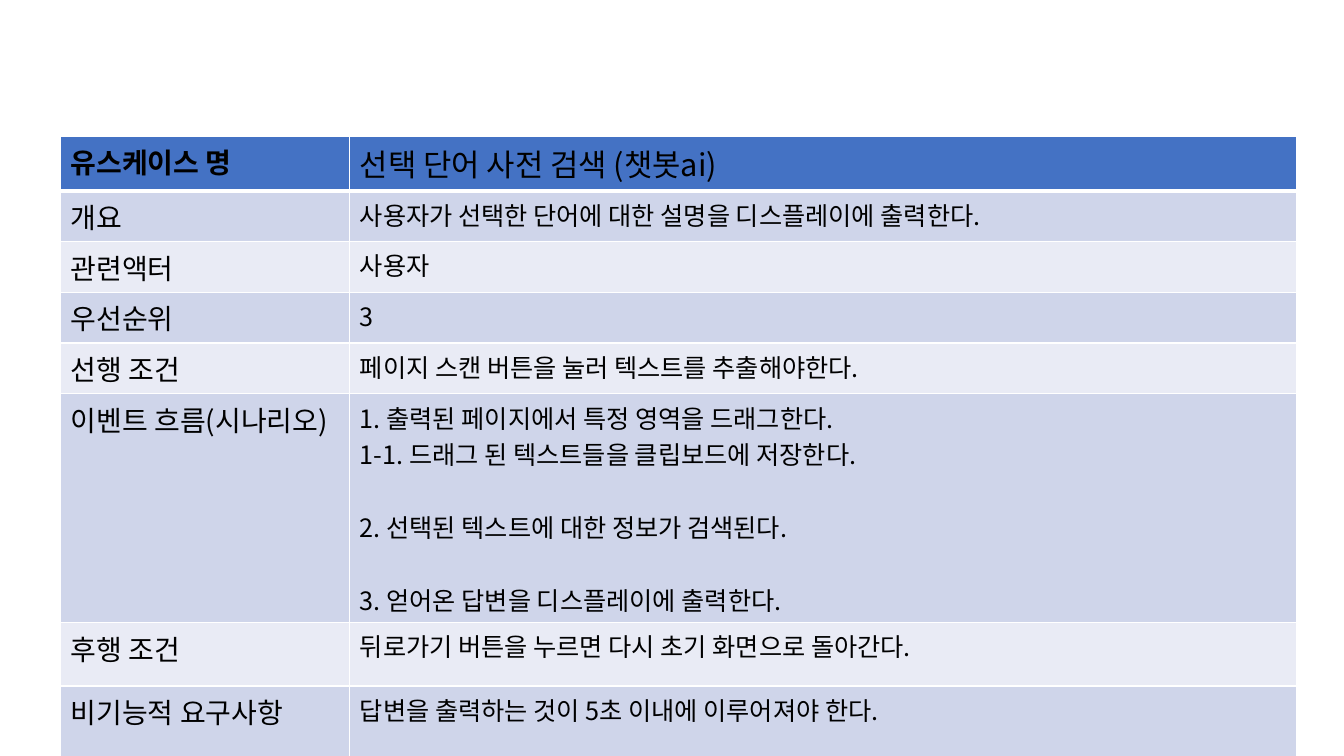
from lxml.etree import SubElement
from pptx import Presentation
from pptx.dml.color import RGBColor
from pptx.oxml.ns import qn
from pptx.util import Inches, Pt

FONT = "Noto Sans CJK KR"
BLACK = RGBColor(0x00, 0x00, 0x00)
WHITE = RGBColor(0xFF, 0xFF, 0xFF)
HEADER_BLUE = RGBColor(0x44, 0x72, 0xC4)
BAND_COLORS = [RGBColor(0xE9, 0xEB, 0xF5), RGBColor(0xCF, 0xD5, 0xEA)]

COLUMN_WIDTHS = [2.87, 9.39]
LINE_PITCH = Pt(26)

# Row height, label, then the lines of the description, grouped by step
USE_CASE = [
    (0.39, "유스케이스 명", [["선택 단어 사전 검색\u00a0(챗봇ai)"]]),
    (0.41, "개요", [["사용자가 선택한 단어에 대한 설명을 디스플레이에 출력한다."]]),
    (0.41, "관련액터", [["사용자"]]),
    (0.39, "우선순위", [["3"]]),
    (0.41, "선행 조건", [["페이지 스캔 버튼을 눌러 텍스트를 추출해야한다."]]),
    (0.69, "이벤트 흐름(시나리오)", [
        ["1. 출력된 페이지에서 특정 영역을 드래그한다.",
         "1-1. 드래그 된 텍스트들을 클립보드에 저장한다."],
        ["2. 선택된 텍스트에 대한 정보가 검색된다."],
        ["3. 얻어온 답변을 디스플레이에 출력한다."],
    ]),
    (0.63, "후행 조건", [["뒤로가기 버튼을 누르면 다시 초기 화면으로 돌아간다."]]),
    (0.76, "비기능적 요구사항", [["답변을 출력하는 것이 5초 이내에 이루어져야 한다."]]),
]


def write_steps(cell, steps, size, bold):
    """Write one paragraph per line, with a line's gap between steps."""
    frame = cell.text_frame
    para = None
    for step_index, lines in enumerate(steps):
        for line_index, line in enumerate(lines):
            para = frame.add_paragraph() if para else frame.paragraphs[0]
            if step_index > 0 and line_index == 0:
                para.space_before = LINE_PITCH
            span = para.add_run()
            span.text = line
            span.font.name = FONT
            span.font.size = Pt(size)
            span.font.bold = bold
            span.font.color.rgb = BLACK
            east_asian = SubElement(span.font._element, qn("a:ea"))
            east_asian.set("typeface", FONT)


def style_cell(cell, fill_color, bottom_width):
    properties = cell._tc.get_or_add_tcPr()
    for side in ("L", "R", "T", "B"):
        width = bottom_width if side == "B" else 1
        border = SubElement(properties, qn(f"a:ln{side}"), w=str(Pt(width)))
        solid = SubElement(border, qn("a:solidFill"))
        SubElement(solid, qn("a:srgbClr"), val=str(WHITE))
    cell.fill.solid()
    cell.fill.fore_color.rgb = fill_color


deck = Presentation()
deck.slide_width = Inches(13.33)
deck.slide_height = Inches(7.5)
page = deck.slides.add_slide(deck.slide_layouts[6])

table = page.shapes.add_table(
    len(USE_CASE), len(COLUMN_WIDTHS),
    Inches(0.6), Inches(1.35), Inches(12.27), Inches(5.49),
).table
for column, width in zip(table.columns, COLUMN_WIDTHS):
    column.width = Inches(width)

for row_index, (height, label, steps) in enumerate(USE_CASE):
    is_header = row_index == 0
    row = table.rows[row_index]
    row.height = Inches(height)
    label_cell, description_cell = row.cells
    write_steps(label_cell, [[label]], 20, is_header)
    write_steps(description_cell, steps, 22 if is_header else 18, False)
    fill_color = HEADER_BLUE if is_header else BAND_COLORS[row_index % 2]
    for cell in (label_cell, description_cell):
        style_cell(cell, fill_color, 3 if is_header else 1)

deck.save("out.pptx")
